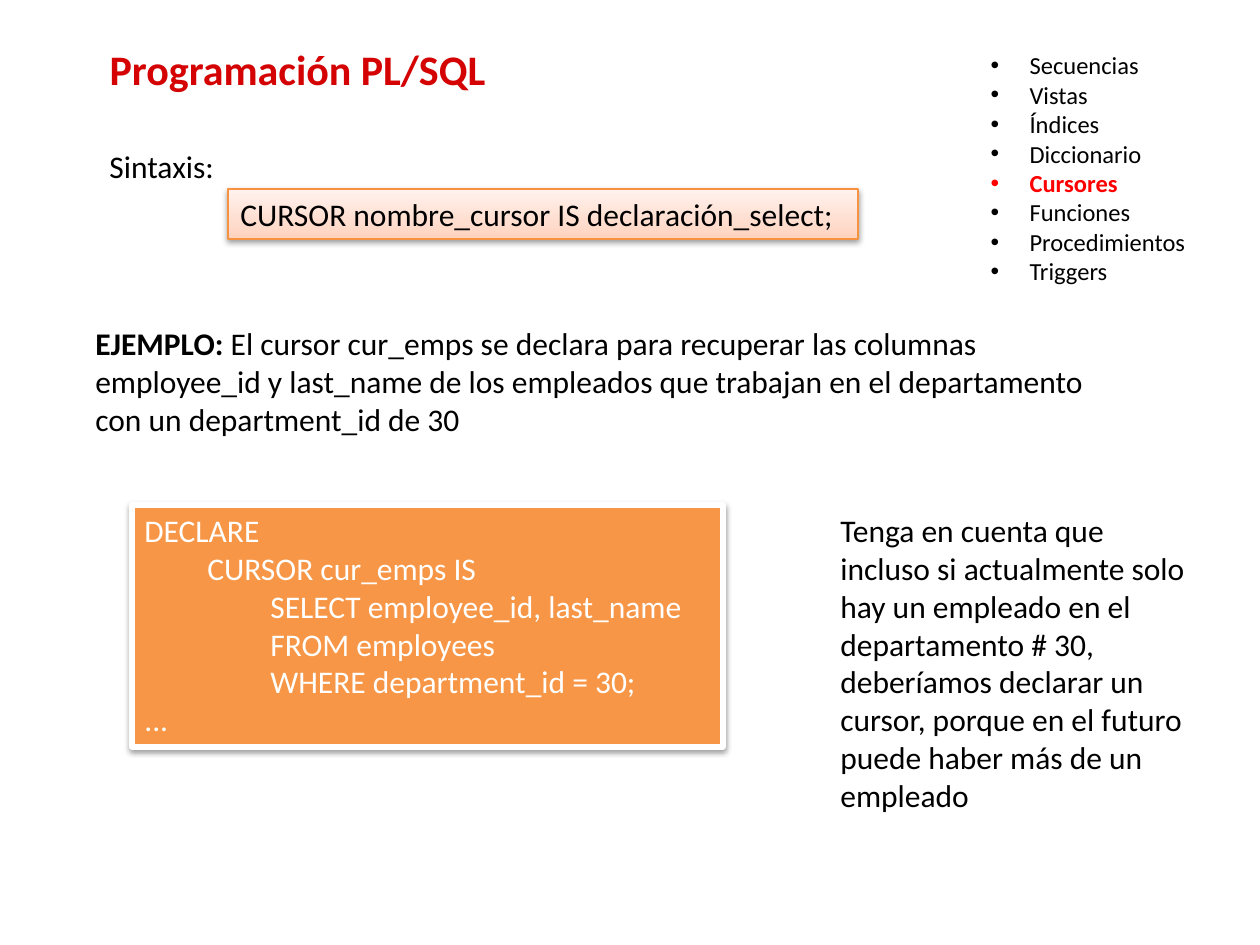
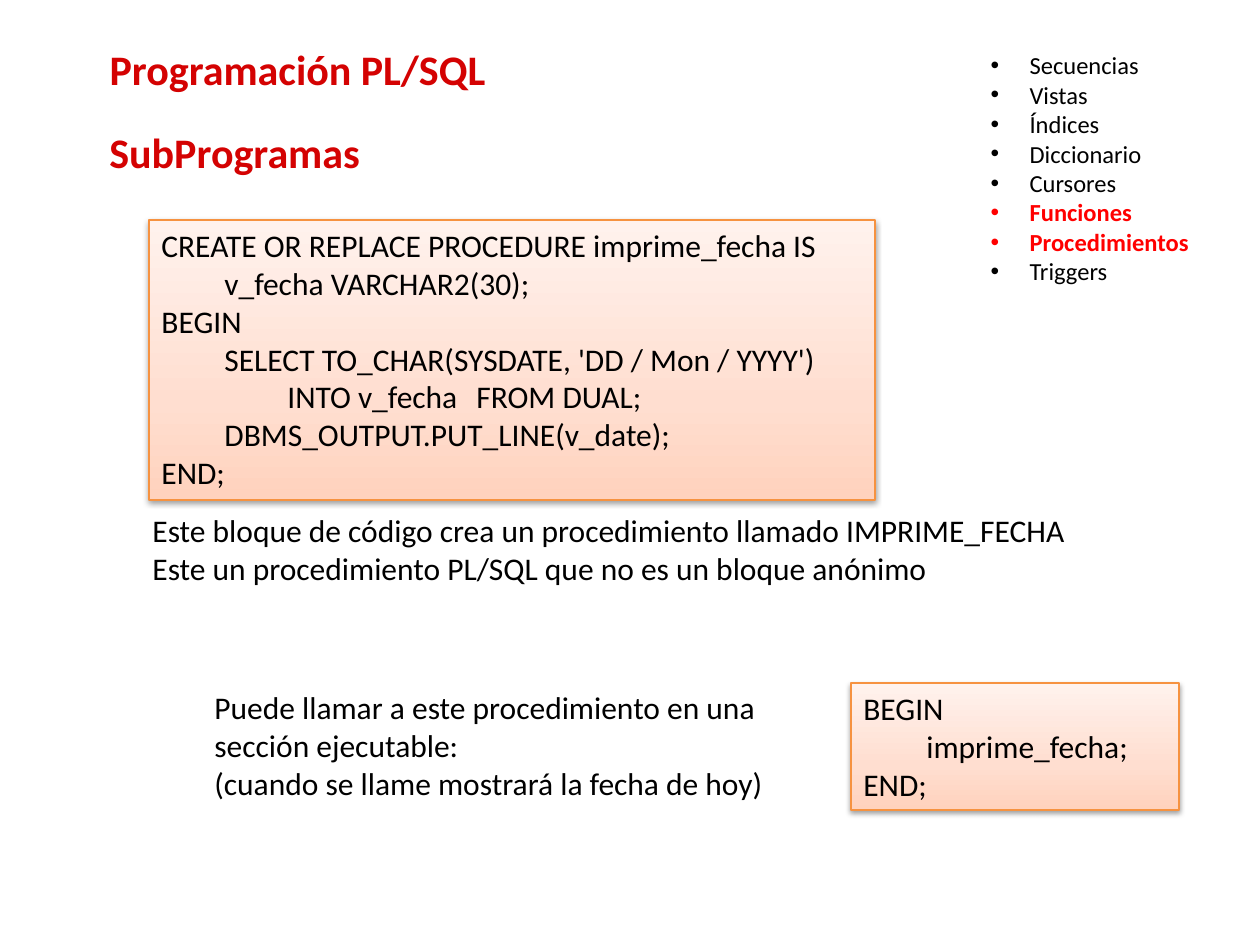
from copy import deepcopy
from lxml.etree import SubElement
from pptx import Presentation
from pptx.dml.color import RGBColor
from pptx.enum.shapes import MSO_SHAPE as Shape
from pptx.enum.text import MSO_ANCHOR as Anchor, MSO_AUTO_SIZE as AutoSize, PP_ALIGN as Align
from pptx.oxml.ns import qn
from pptx.util import Emu, Pt

PX_PER_INCH = 126
PAGE_SIZE = (1260, 945)
TAB_STEP = 63
BULLET_INDENT = 39
FONT = "Calibri"
BLACK, WHITE = "000000", "FFFFFF"
TITLE_RED, TOPIC_RED = "D40202", "FF0000"
ORANGE, ORANGE_LINE = "F79646", "F69240"
PEACH_STOPS = ((0, "FFD2BD"), (0.35, "FFDED0"), (1, "FFF2ED"))

TITLE_FORMAT = {"size": 24, "bold": True, "color": TITLE_RED}
TOPIC_FORMAT = {"size": 14, "bold": False, "color": BLACK}
TEXT_FORMAT = {"size": 18, "bold": False, "color": BLACK}
CURRENT_TOPIC = {"bold": True, "color": TOPIC_RED}

TITLE = "Programación PL/SQL"
TITLE_BOX = (97, 24, 504, 89)
SUBTITLE_OFFSET = 83
TOPICS_BOX = (978, 44, 234, 251)
TOPICS = ("Secuencias", "Vistas", "Índices", "Diccionario",
          "Cursores", "Funciones", "Procedimientos", "Triggers")

SYNTAX = "CURSOR nombre_cursor IS declaración_select;"
EXAMPLE = [("EJEMPLO: ", {"bold": True}),
           ("El cursor cur_emps se declara para recuperar las columnas employee_id y "
            "last_name de los empleados que trabajan en el departamento con un "
            "department_id de 30", {})]
CURSOR_CODE = """DECLARE
\tCURSOR cur_emps IS
\t\tSELECT employee_id, last_name
\t\tFROM employees
\t\tWHERE department_id = 30;
..."""
CURSOR_NOTE = ("Tenga en cuenta que incluso si actualmente solo hay un empleado en el "
               "departamento # 30, deberíamos declarar un cursor, porque en el futuro "
               "puede haber más de un empleado")
PROCEDURE_CODE = """CREATE OR REPLACE PROCEDURE imprime_fecha IS
\tv_fecha VARCHAR2(30);
BEGIN
\tSELECT TO_CHAR(SYSDATE, 'DD / Mon / YYYY')
\t\tINTO v_fecha\tFROM DUAL;
\tDBMS_OUTPUT.PUT_LINE(v_date);
END;"""
PROCEDURE_NOTE = ("Este bloque de código crea un procedimiento llamado IMPRIME_FECHA",
                  "Este un procedimiento PL/SQL que no es un bloque anónimo")
CALL_NOTE = ("Puede llamar a este procedimiento en una sección ejecutable:",
             "(cuando se llame mostrará la fecha de hoy)")
CALL_CODE = """BEGIN
\timprime_fecha;
END;"""


def px(length):
    return Emu(round(length * 914400 / PX_PER_INCH))


def rgb(value):
    return RGBColor.from_string(value)


def place(shape, box):
    for name, length in zip(("left", "top", "width", "height"), box):
        setattr(shape, name, px(length))


def add_span(para, text, formats):
    span = para.add_run()
    span.text = text
    values = {"name": FONT, "size": Pt(formats["size"]), "bold": formats["bold"]}
    for name, value in values.items():
        setattr(span.font, name, value)
    span.font.color.rgb = rgb(formats["color"])


def write(frame, paragraphs, formats, decorate=None, anchor=Anchor.TOP, wrap=True):
    settings = {"word_wrap": wrap, "auto_size": AutoSize.NONE, "vertical_anchor": anchor}
    for name, value in settings.items():
        setattr(frame, name, value)
    for index, spans in enumerate(paragraphs):
        para = frame.add_paragraph() if index else frame.paragraphs[0]
        para.alignment = Align.LEFT
        para.space_before = Pt(0)
        if decorate:
            decorate(para)
        if isinstance(spans, str):
            spans = [(spans, {})]
        for text, changes in spans:
            add_span(para, text, formats | changes)


def add_bullet(para):
    properties = para._p.get_or_add_pPr()
    properties.set("marL", str(px(BULLET_INDENT)))
    properties.set("indent", str(-px(BULLET_INDENT)))
    SubElement(properties, qn("a:buFont"), typeface="Arial")
    SubElement(properties, qn("a:buChar"), char="•")


def add_tab_stops(para):
    stops = SubElement(para._p.get_or_add_pPr(), qn("a:tabLst"))
    for step in range(1, 6):
        SubElement(stops, qn("a:tab"), pos=str(px(step * TAB_STEP)), algn="l")


def add_text(page, box, paragraphs, formats=TEXT_FORMAT, **options):
    text_box = page.shapes.add_textbox(*map(px, box))
    write(text_box.text_frame, paragraphs, formats, **options)


def add_shadow(shape):
    shape.shadow.inherit = False
    effects = shape._element.spPr.find(qn("a:effectLst"))
    shadow = SubElement(effects, qn("a:outerShdw"), blurRad="40000", dist="20000",
                        dir="5400000", rotWithShape="0")
    color = SubElement(shadow, qn("a:srgbClr"), val=BLACK)
    SubElement(color, qn("a:alpha"), val="38000")


def fill_peach(shape):
    fill = shape.fill
    fill.gradient()
    fill.gradient_angle = 90
    stop_list = shape._element.spPr.find(".//" + qn("a:gsLst"))
    stop_list.append(deepcopy(stop_list[0]))
    for stop, (position, color) in zip(fill.gradient_stops, PEACH_STOPS):
        stop.position = position
        stop.color.rgb = rgb(color)


def add_code(page, box, code, solid=False):
    panel = page.shapes.add_shape(Shape.RECTANGLE, *map(px, box))
    if solid:
        panel.fill.solid()
        panel.fill.fore_color.rgb = rgb(ORANGE)
    else:
        fill_peach(panel)
    panel.line.color.rgb = rgb(WHITE if solid else ORANGE_LINE)
    panel.line.width = Pt(3 if solid else 0.75)
    add_shadow(panel)
    formats = TEXT_FORMAT | {"color": WHITE if solid else BLACK}
    write(panel.text_frame, code.split("\n"), formats, decorate=add_tab_stops)


def add_page(deck, current_topics):
    page = deck.slides.add_slide(deck.slide_layouts[0])
    title, topics = page.placeholders
    place(title, TITLE_BOX)
    write(title.text_frame, [TITLE], TITLE_FORMAT, anchor=Anchor.MIDDLE)
    place(topics, TOPICS_BOX)
    items = [[(topic, CURRENT_TOPIC if topic in current_topics else {})] for topic in TOPICS]
    write(topics.text_frame, items, TOPIC_FORMAT, decorate=add_bullet)
    return page


def add_cursor_page(deck):
    page = add_page(deck, ("Cursores",))
    add_code(page, (228, 189, 630, 50), SYNTAX)
    add_text(page, (97, 141, 131, 50), ["Sintaxis:"], wrap=False)
    add_text(page, (83, 318, 1031, 127), [EXAMPLE])
    add_code(page, (132, 505, 591, 242), CURSOR_CODE, solid=True)
    add_text(page, (828, 505, 373, 318), [CURSOR_NOTE])


def add_procedure_page(deck):
    page = add_page(deck, ("Funciones", "Procedimientos"))
    left, top, width, height = TITLE_BOX
    add_text(page, (left, top + SUBTITLE_OFFSET, width, height), ["SubProgramas"],
             TITLE_FORMAT, anchor=Anchor.MIDDLE)
    add_code(page, (149, 220, 726, 280), PROCEDURE_CODE)
    add_text(page, (140, 505, 954, 89), PROCEDURE_NOTE)
    add_code(page, (851, 683, 328, 127), CALL_CODE)
    add_text(page, (202, 682, 614, 127), CALL_NOTE)


def main():
    deck = Presentation()
    deck.slide_width, deck.slide_height = map(px, PAGE_SIZE)
    add_cursor_page(deck)
    add_procedure_page(deck)
    deck.save("out.pptx")


if __name__ == "__main__":
    main()
